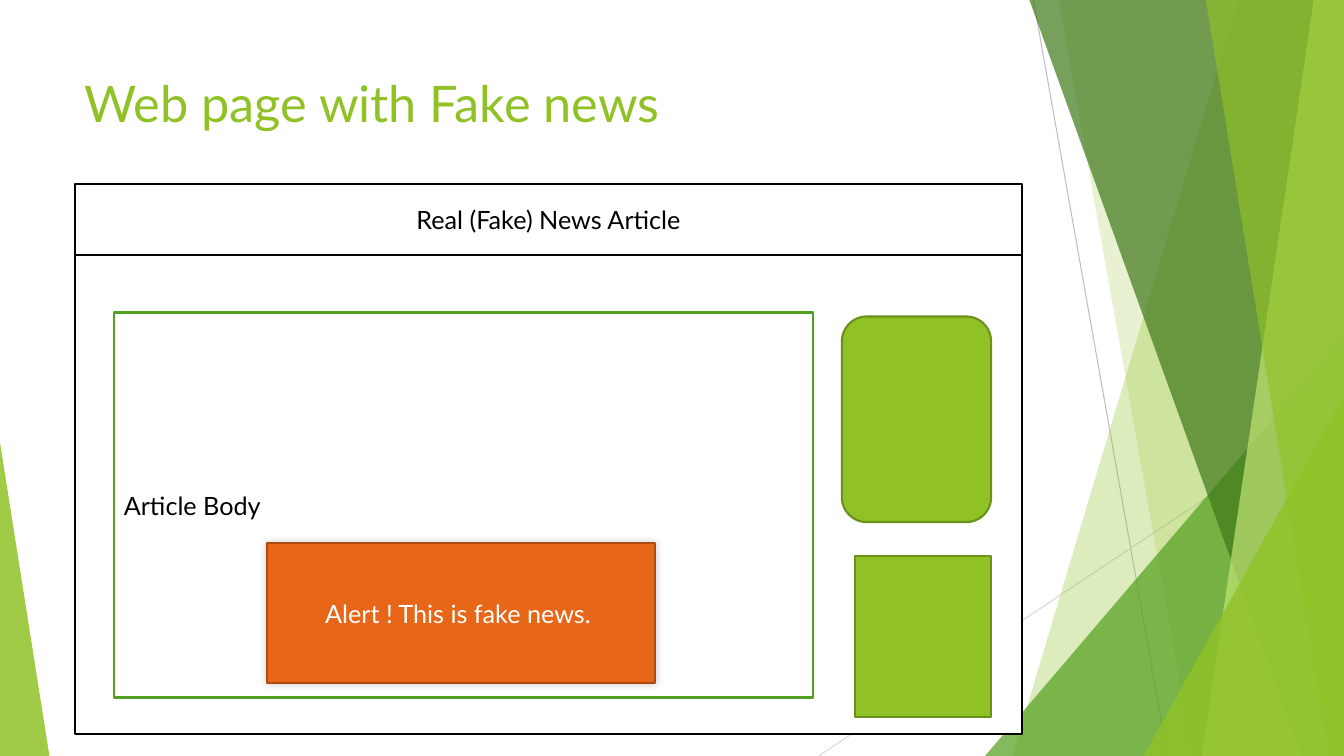
from dataclasses import dataclass

import pptx
import pptx.dml.color
import pptx.enum.shapes
import pptx.enum.text
import pptx.oxml.ns
import pptx.util
from lxml import etree

Inches = pptx.util.Inches
Pt = pptx.util.Pt
SHAPES = pptx.enum.shapes.MSO_SHAPE
ALIGN = pptx.enum.text.PP_ALIGN
ANCHOR = pptx.enum.text.MSO_ANCHOR
qn = pptx.oxml.ns.qn

WIDTH, HEIGHT = 13.33, 7.5


@dataclass(frozen=True)
class Theme:
    font: str = "Lato"
    title_size: int = 36
    body_size: int = 18
    outline: float = 1.5
    hairline: float = 0.75
    white: str = "FFFFFF"
    black: str = "000000"
    lime: str = "90C226"
    lime_edge: str = "6B901C"
    pale_lime: str = "C0E474"
    green: str = "54A021"
    dark_green: str = "3F7819"
    orange: str = "E76618"
    orange_edge: str = "AB4B12"
    gray: str = "BFBFBF"
    light_gray: str = "D9D9D9"


THEME = Theme()


def rgb(color):
    return pptx.dml.color.RGBColor.from_string(color)


def paint(shape, fill, edge=None, opacity=100):
    shape.shadow.inherit = False
    shape.fill.solid()
    shape.fill.fore_color.rgb = rgb(fill)
    if opacity < 100:
        color = shape.fill._xPr.find(".//" + qn("a:srgbClr"))
        etree.SubElement(color, qn("a:alpha"), val=str(opacity * 1000))
    if edge:
        shape.line.color.rgb = rgb(edge)
        shape.line.width = Pt(THEME.outline)
    else:
        shape.line.fill.background()


def write(shape, text, size, color, align=ALIGN.LEFT, anchor=ANCHOR.MIDDLE):
    frame = shape.text_frame
    frame.word_wrap = True
    frame.vertical_anchor = anchor
    paragraph = frame.paragraphs[0]
    paragraph.text = text
    paragraph.alignment = align
    paragraph.font.name = THEME.font
    paragraph.font.size = Pt(size)
    paragraph.font.color.rgb = rgb(color)


def add_block(slide, kind, box, fill, edge=None, opacity=100):
    shape = slide.shapes.add_shape(kind, *map(Inches, box))
    paint(shape, fill, edge, opacity)
    return shape


def add_hairline(slide, start, end, color):
    line = slide.shapes.add_connector(
        pptx.enum.shapes.MSO_CONNECTOR.STRAIGHT, *map(Inches, start + end))
    line.line.color.rgb = rgb(color)
    line.line.width = Pt(THEME.hairline)
    etree.SubElement(line._element.spPr, qn("a:effectLst"))


def add_shard(slide, top_left, bottom_left, color, opacity):
    """Full-height facet running from a slanted left side to the slide's right edge."""
    corners = [(top_left, 0), (WIDTH, 0), (WIDTH, HEIGHT), (bottom_left, HEIGHT)]
    points = [(Inches(x), Inches(y)) for x, y in corners]
    builder = slide.shapes.build_freeform(*points[0])
    builder.add_line_segments(points[1:], close=True)
    paint(builder.convert_to_shape(), color, opacity=opacity)


def add_corner(slide, left, width, height, apex, color, opacity):
    """Right triangle standing on the bottom edge, its apex at the given side."""
    triangle = add_block(slide, SHAPES.ISOSCELES_TRIANGLE,
                         (left, HEIGHT - height, width, height), color, opacity=opacity)
    triangle.adjustments[0] = apex


def add_facets(slide):
    add_hairline(slide, (10.25, 0), (11.58, HEIGHT), THEME.gray)
    add_hairline(slide, (WIDTH, 4.03), (8.12, HEIGHT), THEME.light_gray)
    add_shard(slide, 12.28, 10.04, THEME.lime, 30)
    add_shard(slide, 10.5, 11.83, THEME.lime, 20)
    add_corner(slide, 9.77, 3.56, 4.17, 1, THEME.green, 72)
    add_shard(slide, 10.21, 12.91, THEME.dark_green, 70)
    add_shard(slide, 13.03, 11.92, THEME.pale_lime, 70)
    add_shard(slide, 11.96, 13.18, THEME.lime, 65)
    add_corner(slide, 11.34, 1.99, 3.57, 1, THEME.lime, 80)
    add_corner(slide, 0, 0.49, 3.11, 0, THEME.lime, 85)


def add_title(slide, box, text):
    title = slide.shapes.add_textbox(*map(Inches, box))
    write(title, text, THEME.title_size, THEME.lime, anchor=ANCHOR.TOP)


def add_glow(shape):
    """Soft dark shadow around the shape."""
    effects = shape._element.spPr.find(qn("a:effectLst"))
    shadow = etree.SubElement(effects, qn("a:outerShdw"), blurRad=str(Pt(6)),
                              dist="0", dir="18900000", rotWithShape="0")
    color = etree.SubElement(shadow, qn("a:srgbClr"), val=THEME.black)
    etree.SubElement(color, qn("a:alpha"), val="20000")


def add_web_page(slide, box):
    left, top, width, height = box

    def part(kind, x, y, w, h, fill, edge):
        return add_block(slide, kind, (left + x, top + y, w, h), fill, edge)

    part(SHAPES.RECTANGLE, 0, 0.04, width, height - 0.04, THEME.white, THEME.black)
    header = part(SHAPES.RECTANGLE, 0, 0, width, 0.7, THEME.white, THEME.black)
    write(header, "Real (Fake) News Article", THEME.body_size, THEME.black, ALIGN.CENTER)
    body = part(SHAPES.RECTANGLE, 0.39, 1.27, 6.93, 3.82, THEME.white, THEME.green)
    write(body, "Article Body", THEME.body_size, THEME.black)

    sidebar_right = width - 0.31
    for kind, y, w, h in [(SHAPES.ROUNDED_RECTANGLE, 1.31, 1.48, 2.04),
                          (SHAPES.RECTANGLE, 3.69, 1.35, 1.59)]:
        part(kind, sidebar_right - w, y, w, h, THEME.lime, THEME.lime_edge)

    alert = part(SHAPES.RECTANGLE, 1.91, 3.56, 3.85, 1.39, THEME.orange, THEME.orange_edge)
    add_glow(alert)
    write(alert, "Alert ! This is fake news. ", THEME.body_size, THEME.white, ALIGN.CENTER)


def main():
    presentation = pptx.Presentation()
    presentation.slide_width = Inches(WIDTH)
    presentation.slide_height = Inches(HEIGHT)
    slide = presentation.slides.add_slide(presentation.slide_layouts[6])
    add_facets(slide)
    add_title(slide, (0.74, 0.67, 9.4, 0.94), "Web page with Fake news")
    add_web_page(slide, (0.74, 1.83, 9.4, 5.45))
    presentation.save("out.pptx")


if __name__ == "__main__":
    main()
